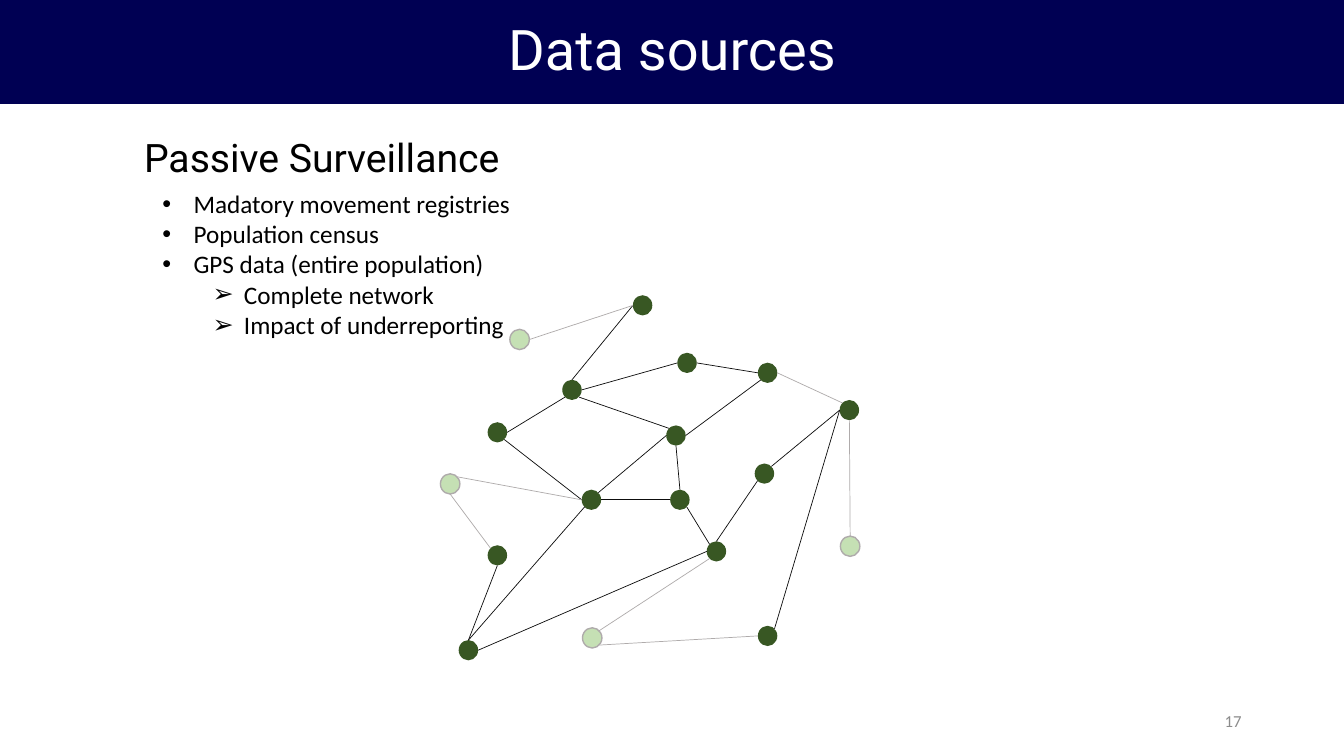
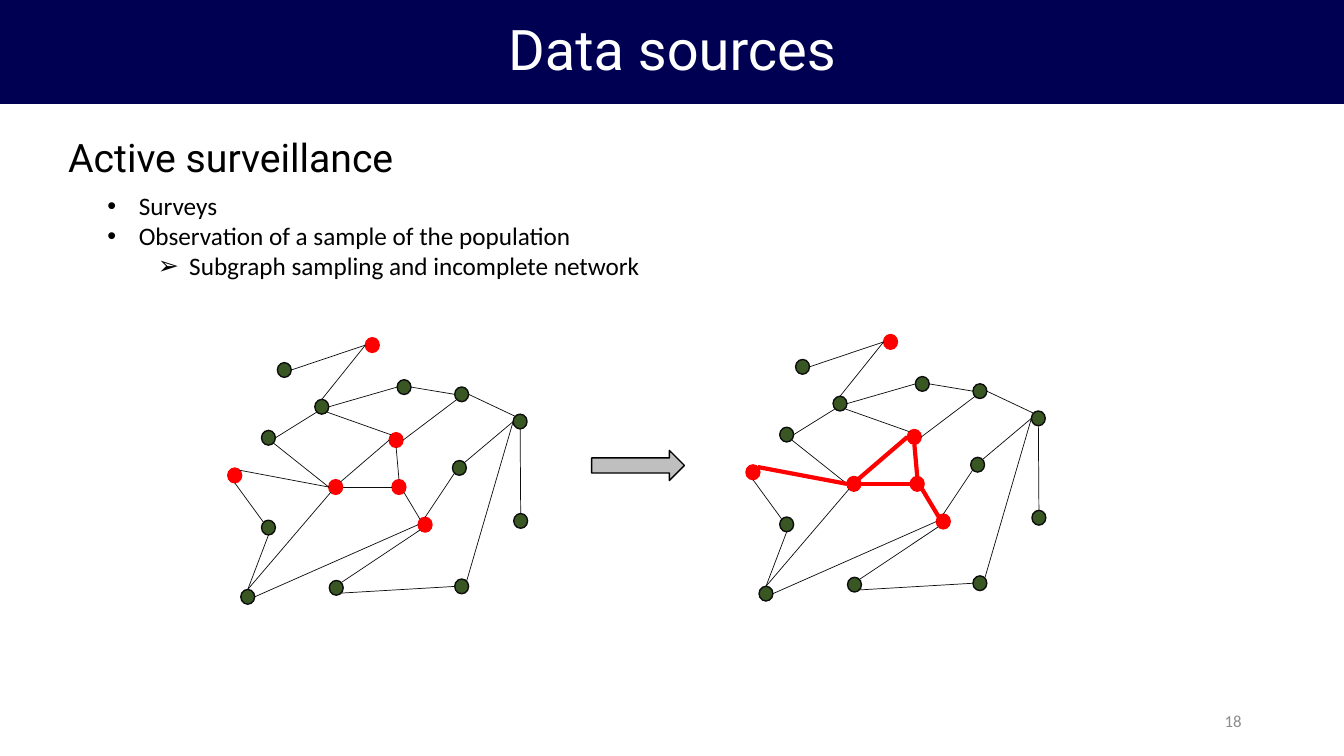
"""Build two slides on passive and active data sources for network studies."""
from math import cos, pi, sin

from lxml import etree
from pptx import Presentation
from pptx.dml.color import RGBColor
from pptx.enum.shapes import MSO_CONNECTOR, MSO_SHAPE
from pptx.enum.text import MSO_ANCHOR, MSO_AUTO_SIZE, PP_ALIGN
from pptx.oxml.ns import qn
from pptx.util import Cm, Pt

RECT, OVAL, ARROW = MSO_SHAPE.RECTANGLE, MSO_SHAPE.OVAL, MSO_SHAPE.RIGHT_ARROW
LINE = MSO_CONNECTOR.STRAIGHT
MIDDLE = MSO_ANCHOR.MIDDLE
FIT = MSO_AUTO_SIZE.SHAPE_TO_FIT_TEXT
LEFT, CENTER, RIGHT = PP_ALIGN.LEFT, PP_ALIGN.CENTER, PP_ALIGN.RIGHT

COLORS = {
    "navy": "000053", "white": "FFFFFF", "black": "000000", "ink": "0D0D0D",
    "green": "385723", "pale": "C5E0B4", "mist": "AFABAB", "red": "FF0000",
    "silver": "BFBFBF", "gray": "8C8C8C",
}
HEAD, BODY = "Roboto", "Calibri"
WIDE, HIGH = 33.87, 19.05

NODE_W, NODE_H = 0.49, 0.51
NODES = {
    "a": (4.85, 0), "b": (1.19, 3.2), "c": (3.56, 4.9), "d": (1.19, 6.3),
    "e": (3.07, 2.13), "f": (6.71, 6.2), "g": (3.58, 8.38), "h": (5.69, 3.28),
    "i": (8, 8.33), "j": (7.92, 4.24), "k": (0.46, 8.69), "l": (10.06, 2.64),
    "m": (8, 1.7), "n": (1.75, 0.86), "o": (0, 4.5), "p": (5.79, 4.9),
    "q": (5.97, 1.45), "r": (10.08, 6.07),
}
SIDES = ("E", "SE", "S", "SW", "W", "NW", "N", "NE")
EDGES = [
    ("e", "N", "a", "W"), ("c", "W", "b", "SE"), ("c", "NE", "h", "W"),
    ("h", "E", "m", "SW"), ("k", "N", "c", "SW"), ("k", "N", "d", "S"),
    ("f", "N", "j", "SW"), ("g", "NE", "f", "SW"), ("k", "E", "f", "W"),
    ("g", "SE", "i", "W"), ("i", "NE", "l", "W"), ("b", "E", "e", "SW"),
    ("h", "NW", "e", "SE"), ("j", "NE", "l", "W"), ("n", "E", "a", "W"),
    ("o", "NE", "c", "W"), ("o", "S", "d", "NW"), ("r", "N", "l", "S"),
    ("p", "N", "h", "S"), ("q", "E", "m", "W"), ("e", "E", "q", "W"),
    ("p", "SE", "f", "NW"), ("m", "E", "l", "NW"), ("c", "E", "p", "W"),
]
MISSED = set("gnor")
SAMPLE = set("acfhop")


def color(name):
    return RGBColor.from_string(COLORS[name])


def add_run(para, text, font, size, tint):
    run = para.add_run()
    run.text = text
    run.font.name = font
    run.font.size = Pt(size)
    run.font.color.rgb = color(tint)


def add_form(shapes, kind, box, fill, line=None):
    form = shapes.add_shape(kind, *map(Cm, box))
    form.shadow.inherit = False
    form.fill.solid()
    form.fill.fore_color.rgb = color(fill)
    if line:
        form.line.color.rgb = color(line)
        form.line.width = Pt(1)
    else:
        form.line.fill.background()
    return form


def add_line(shapes, start, end, tint, width):
    line = shapes.add_connector(LINE, *map(Cm, start + end))
    line.line.color.rgb = color(tint)
    line.line.width = Pt(width)
    etree.SubElement(line._element.spPr, qn("a:effectLst"))


def add_label(slide, box, text, font, size, tint, align=LEFT):
    frame = slide.shapes.add_textbox(*map(Cm, box)).text_frame
    if align == LEFT:
        frame.word_wrap = False
        frame.auto_size = FIT
    else:
        frame.word_wrap = True
        frame.vertical_anchor = MIDDLE
    para = frame.paragraphs[0]
    para.alignment = align
    add_run(para, text, font, size, tint)


def add_list(slide, box, items):
    frame = slide.shapes.add_textbox(*map(Cm, box)).text_frame
    frame.word_wrap = False
    frame.auto_size = FIT
    for index, (level, text) in enumerate(items):
        para = frame.add_paragraph() if index else frame.paragraphs[0]
        para.level = level
        props = para._p.get_or_add_pPr()
        props.set("marL", str(Cm(0.79 + 1.27 * level)))
        props.set("indent", str(-Cm(0.79)))
        etree.SubElement(props, qn("a:buFont")).set("typeface", "Arial")
        etree.SubElement(props, qn("a:buChar")).set("char", "•➢"[level])
        add_run(para, text, BODY, 18, "black")


def add_graph(slide, left, top, scale, node_style, edge_style):
    shapes = slide.shapes.add_group_shape().shapes
    wide, high = NODE_W * scale[0], NODE_H * scale[1]

    def corner(node):
        x, y = NODES[node]
        return left + x * scale[0], top + y * scale[1]

    def port(node, side):
        x, y = corner(node)
        angle = SIDES.index(side) * pi / 4
        return (x + wide / 2 * (1 + cos(angle)),
                y + high / 2 * (1 + sin(angle)))

    for node in NODES:
        add_form(shapes, OVAL, (*corner(node), wide, high), *node_style(node))
    for tail, out, head, into in EDGES:
        add_line(shapes, port(tail, out), port(head, into),
                 *edge_style({tail, head}))


def census_node(node):
    return ("pale", "mist") if node in MISSED else ("green", None)


def census_edge(ends):
    lost = ends & MISSED or ends == {"m", "l"}
    return ("mist" if lost else "ink"), 0.5


def survey_node(node):
    return ("red", "red") if node in SAMPLE else ("green", "ink")


def plain_edge(ends):
    return "ink", 0.5


def survey_edge(ends):
    return ("red", 3) if ends <= SAMPLE else plain_edge(ends)


def add_page(deck, number):
    slide = deck.slides.add_slide(deck.slide_layouts[6])
    band = add_form(slide.shapes, RECT, (0, 0, WIDE, 2.62), "navy")
    band.text_frame.vertical_anchor = MIDDLE
    para = band.text_frame.paragraphs[0]
    para.alignment = CENTER
    para.line_spacing = 0.9
    add_run(para, "Data sources", HEAD, 40, "white")
    add_label(slide, (23.92, 17.66, 7.62, 1.01), str(number),
              BODY, 12, "gray", RIGHT)
    return slide


def add_passive(deck):
    slide = add_page(deck, 17)
    add_graph(slide, 11.1, 7.44, (1, 1), census_node, census_edge)
    add_label(slide, (3.38, 3.23, 9.73, 1.45), "Passive Surveillance",
              HEAD, 28, "black")
    add_list(slide, (3.84, 4.62, 9.37, 4.11), [
        (0, "Madatory movement registries"),
        (0, "Population census"),
        (0, "GPS data (entire population)"),
        (1, "Complete network"),
        (1, "Impact of underreporting"),
    ])


def add_active(deck):
    slide = add_page(deck, 18)
    add_label(slide, (1.47, 3.23, 8.79, 1.45), "Active surveillance",
              HEAD, 28, "black")
    add_list(slide, (2.46, 4.67, 14.07, 2.57), [
        (0, "Surveys"),
        (0, "Observation of a sample of the population"),
        (1, "Subgraph sampling and incomplete network"),
    ])
    scale = (0.715, 0.73)
    add_graph(slide, 5.74, 8.51, scale, survey_node, plain_edge)
    add_graph(slide, 18.8, 8.43, scale, survey_node, survey_edge)
    add_form(slide.shapes, ARROW, (14.91, 11.35, 2.34, 0.76),
             "silver", "black")


def main():
    deck = Presentation()
    deck.slide_width, deck.slide_height = Cm(WIDE), Cm(HIGH)
    add_passive(deck)
    add_active(deck)
    deck.save("out.pptx")


if __name__ == "__main__":
    main()
